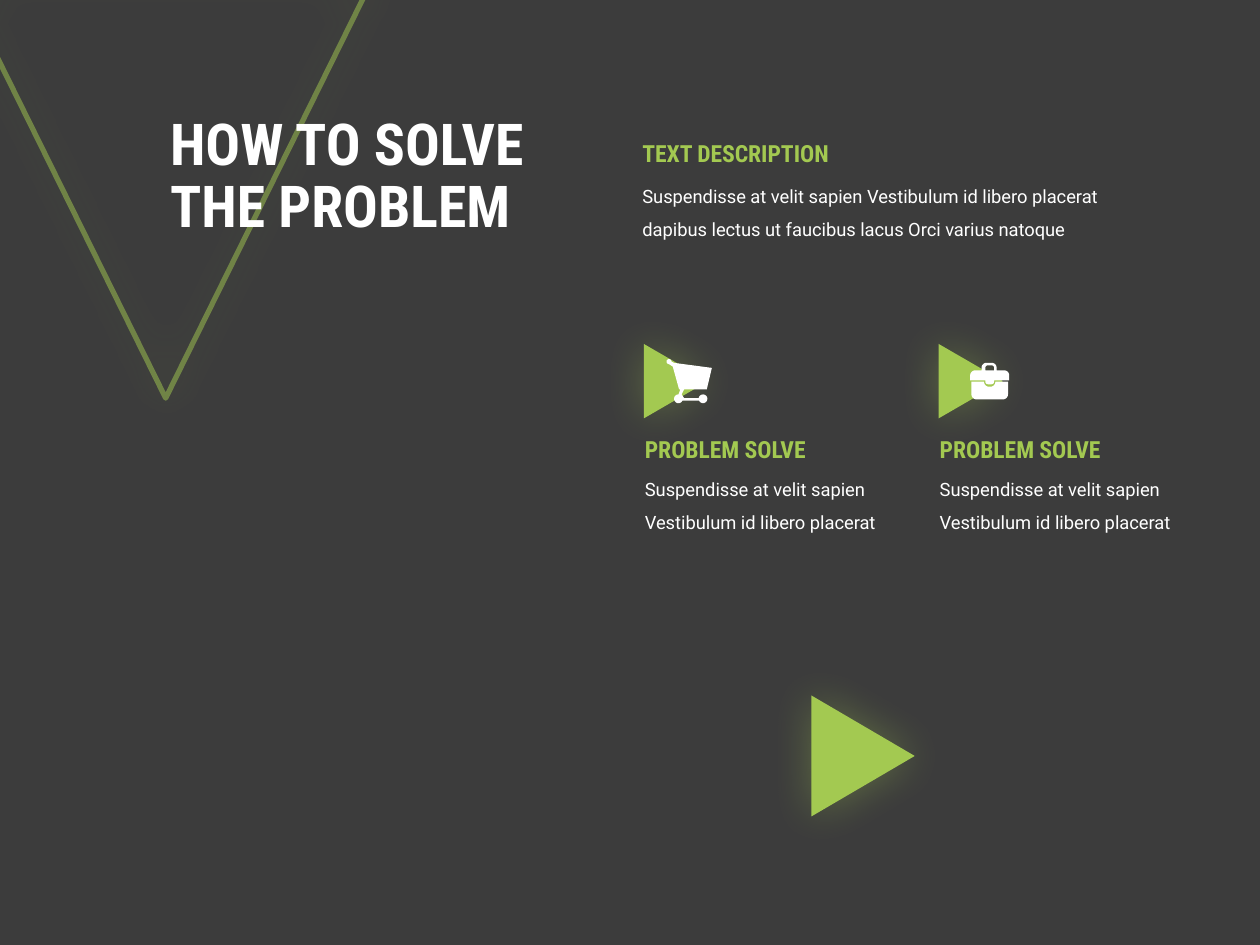
from dataclasses import dataclass
from math import cos, radians, sin

from lxml import etree
from pptx import Presentation
from pptx import util as u
from pptx.dml.color import RGBColor
from pptx.enum import shapes, text
from pptx.oxml import ns

SCALE = 9144  # EMU in one px, 100 px to the inch


@dataclass(frozen=True)
class Theme:
    back: str = "3C3C3C"
    green: str = "A3C951"
    white: str = "FFFFFF"
    body: str = "Roboto"
    head: str = "Roboto Condensed"
    title_pt: float = 33
    head_pt: float = 13.5
    body_pt: float = 10.5


def px(n):
    return u.Emu(round(n * SCALE))


def rgb(code):
    return RGBColor.from_string(code)


def sub(node, tag, **attrs):
    """Add a DrawingML child with the given attributes."""
    return etree.SubElement(node, ns.qn("a:" + tag), {k: str(v) for k, v in attrs.items()})


def arc(x, y, r, start, end, steps=12):
    """Points on a circle; angles in degrees, clockwise from the right."""
    turns = [radians(start + (end - start) * i / steps) for i in range(steps + 1)]
    return [(x + r * cos(t), y + r * sin(t)) for t in turns]


class Deck:
    def __init__(self, theme):
        self.theme = theme
        self.prs = Presentation()
        self.prs.slide_width, self.prs.slide_height = px(1000), px(750)
        self.slide = self.prs.slides.add_slide(self.prs.slide_layouts[5])
        fill = self.slide.background.fill
        fill.solid()
        fill.fore_color.rgb = rgb(theme.back)

    def label(self, frame, words, face, size, color, bold=False, gap=1.0):
        frame.word_wrap = True
        para = frame.paragraphs[0]
        para.text = words
        para.alignment = text.PP_ALIGN.LEFT
        para.line_spacing = gap
        font = para.font
        font.name, font.size, font.bold = face, u.Pt(size), bold
        font.color.rgb = rgb(color)

    def title(self, x, y, w, h, words):
        t = self.theme
        box = self.slide.shapes.title
        box.left, box.top, box.width, box.height = map(px, (x, y, w, h))
        frame = box.text_frame
        frame.auto_size = text.MSO_AUTO_SIZE.NONE
        frame.vertical_anchor = text.MSO_ANCHOR.MIDDLE
        self.label(frame, words, t.head, t.title_pt, t.white, True, 0.9)
        # Bring the title in front of what is drawn so far
        self.slide.shapes[-1].element.addnext(box.element)

    def box(self, x, y, w, h):
        frame = self.slide.shapes.add_textbox(*map(px, (x, y, w, h))).text_frame
        frame.auto_size = text.MSO_AUTO_SIZE.SHAPE_TO_FIT_TEXT
        return frame

    def head(self, x, y, w, words):
        t = self.theme
        self.label(self.box(x, y, w, 33), words, t.head, t.head_pt, t.green, True)

    def body(self, x, y, w, words):
        t = self.theme
        self.label(self.box(x, y, w, 60), words, t.body, t.body_pt, t.white, gap=1.5)

    def glow(self, shape):
        """Give the shape a soft green shadow on all sides."""
        fx = sub(shape.element.spPr, "effectLst")
        shade = sub(fx, "outerShdw", blurRad=u.Pt(25), dist=0, dir=0, algn="ctr", rotWithShape=0)
        sub(sub(shade, "srgbClr", val=self.theme.green), "alpha", val=35000)

    def wedge(self, x, y, w, h, turn=90, outline=False):
        """Place a glowing triangle, filled or as a see-through outline."""
        kind = shapes.MSO_SHAPE.ISOSCELES_TRIANGLE
        shape = self.slide.shapes.add_shape(kind, *map(px, (x, y, w, h)))
        shape.rotation = turn
        green = rgb(self.theme.green)
        if outline:
            shape.fill.background()
            shape.line.color.rgb = green
            shape.line.width = u.Pt(3)
            tint = shape.element.spPr.find(".//" + ns.qn("a:ln") + "//" + ns.qn("a:srgbClr"))
            sub(tint, "alpha", val=50000)
        else:
            shape.fill.solid()
            shape.fill.fore_color.rgb = green
            shape.line.fill.background()
        self.glow(shape)

    def icon(self, *paths, home=None):
        """Draw closed outlines as one white shape."""
        home = home or self.slide.shapes
        first, *rest = [[(px(x), px(y)) for x, y in path] for path in paths]
        pen = home.build_freeform(*first[0])
        pen.add_line_segments(first[1:])
        for path in rest:
            pen.move_to(*path[0])
            pen.add_line_segments(path[1:])
        shape = pen.convert_to_shape()
        shape.shadow.inherit = False
        shape.fill.solid()
        shape.fill.fore_color.rgb = rgb(self.theme.white)
        shape.line.fill.background()

    def cart(self):
        self.icon([
            (554, 316), (543, 316), (541, 313), (543, 309), (561, 309),
            (565, 292), (535, 288), *arc(531, 287, 2, 0, -270),
            (534, 291), (539, 309), (540, 309),
            *arc(538.5, 316.5, 3.5, -90, -335),
            *arc(558, 316.5, 3.5, 155, -170),
        ])

    def case(self):
        home = self.slide.shapes.add_group_shape().shapes
        self.icon([
            (771, 303), (781, 303), *arc(785, 303, 4, 180, 90), *arc(786, 303, 4, 90, 0),
            (800, 303), *arc(796, 313, 4, 0, 90), *arc(775, 313, 4, 90, 180),
        ], home=home)
        lid = [
            (770, 302), (782, 302), *arc(784, 303, 2, 180, 90),
            *arc(787, 303, 2, 90, 0), (789, 302), (801, 302),
            *arc(797, 298, 4, 0, -90), (791, 294), *arc(787, 292, 4, 0, -90),
            *arc(783, 292, 4, -90, -180), (779, 294), *arc(774, 298, 4, -90, -180),
        ]
        grip = [(782, 294), *arc(784, 292, 2, 180, 270), *arc(787, 292, 2, -90, 0), (789, 294)]
        self.icon(lid, grip, home=home)


def main():
    deck = Deck(Theme())
    deck.wedge(-33, -17, 329, 333, turn=180, outline=True)
    deck.title(125, 62, 422, 158, "HOW TO SOLVE\vTHE PROBLEM")

    short = "Suspendisse at velit sapien Vestibulum id libero placerat"
    deck.body(500, 133, 385, short + " dapibus lectus ut faucibus lacus Orci varius natoque")
    deck.head(500, 105, 184, "TEXT DESCRIPTION")

    for x, icon in ((502, deck.cart), (736, deck.case)):
        deck.wedge(x + 5, 277, 59, 51)
        deck.body(x, 366, 207, short)
        deck.head(x, 340, 166, "PROBLEM SOLVE")
        icon()

    deck.wedge(637, 559, 96, 82)
    deck.prs.save("out.pptx")


if __name__ == "__main__":
    main()
